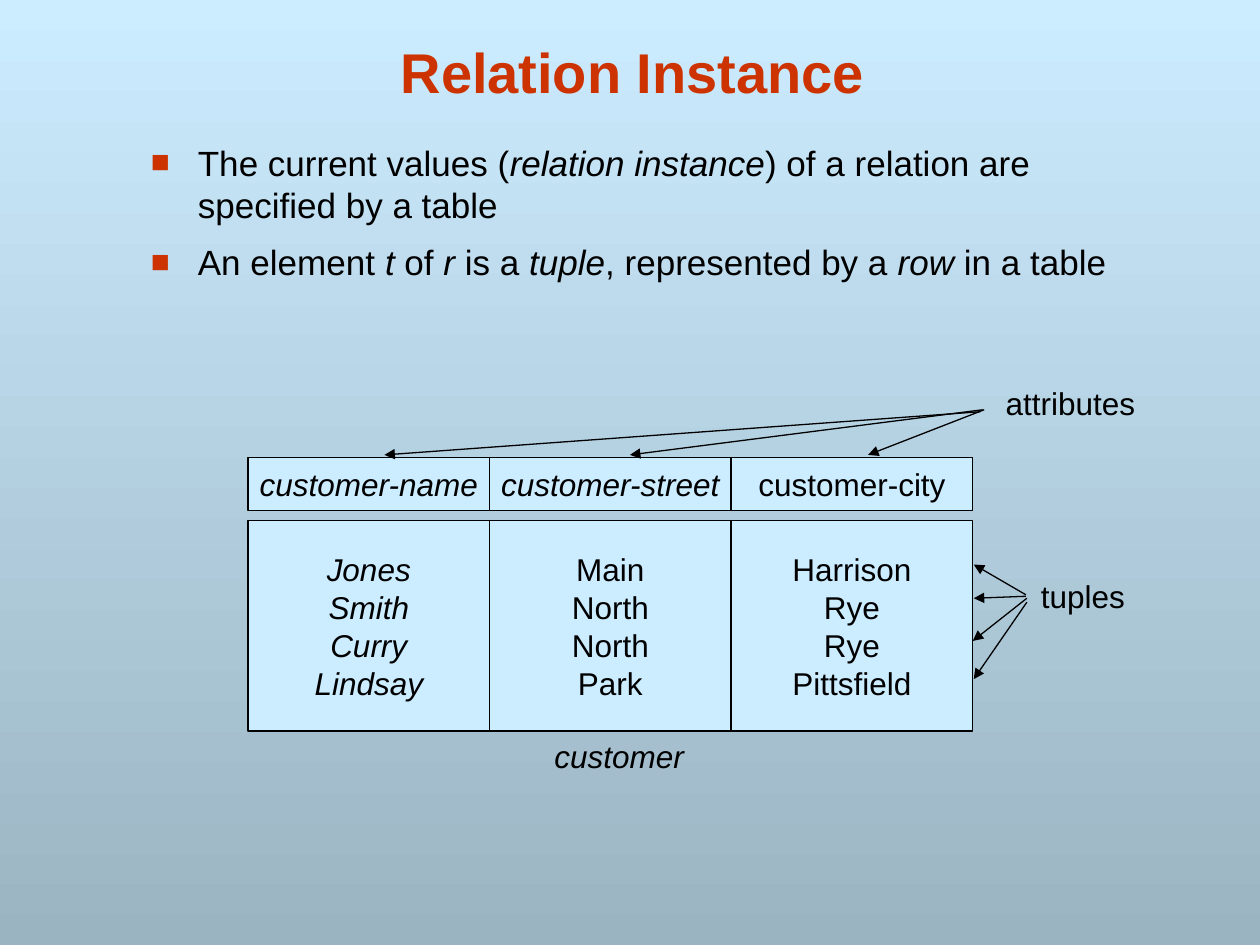
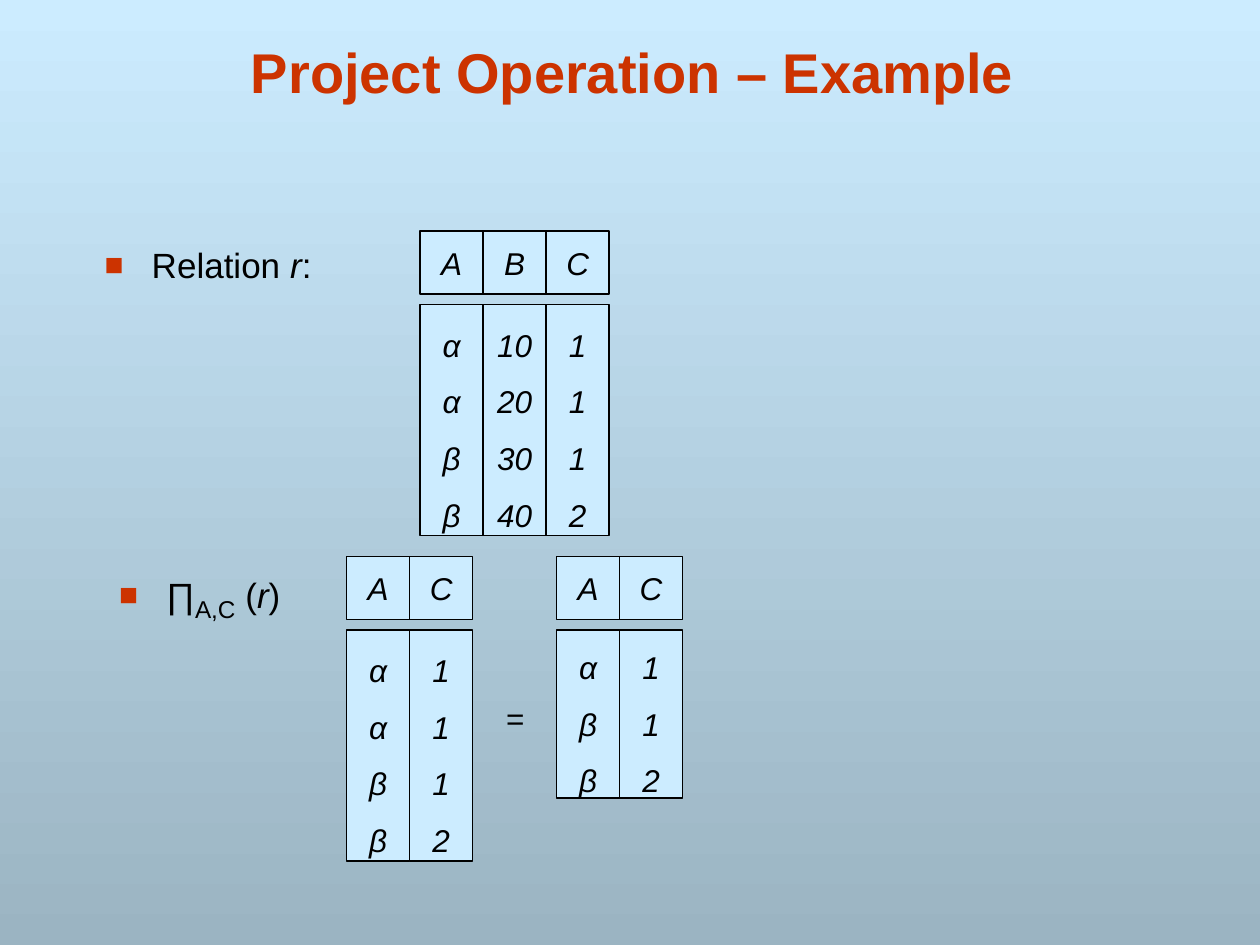
from pptx import Presentation
from pptx import util as u
from pptx.dml.color import RGBColor
from pptx.enum import shapes, text
from pptx.oxml.ns import qn
from lxml import etree

FONT = "Arial"
INK, ACCENT, PALE, SLATE = "000000", "CC3300", "CCECFF", "9BB4C2"
LEADING = 1.2
GAP = 0.21

INSTANCE = {
    "title": "Relation Instance",
    "bullets": [
        (2.79, 2.72, 21.06, 5.46, [
            "The current values (*relation instance*) of a relation are specified by a table",
            "An element *t* of *r* is a *tuple*, represented by a *row *in a table",
        ]),
    ],
    "relations": [
        {"at": (5, 9.23), "column": 4.87, "row": 1.06, "trim": 0, "spacing": 1,
         "columns": [
             ("*customer-name*", ["*Jones*", "*Smith*", "*Curry*", "*Lindsay*"]),
             ("*customer-street*", ["Main", "North", "North", "Park"]),
             ("customer-city", ["Harrison", "Rye", "Rye", "Pittsfield"]),
         ]},
    ],
    "labels": [
        (10.92, 14.73, 3.12, "*customer*"),
        (20.02, 7.62, 3.12, "attributes"),
        (20.53, 11.5, 2.6, "tuples"),
    ],
    "arrows": [
        ((19.76, 8.3), (7.75, 9.17)),
        ((19.81, 8.26), (12.7, 9.17)),
        ((19.84, 8.26), (17.5, 9.17)),
        ((20.68, 11.99), (19.63, 11.38)),
        ((20.68, 12.02), (19.63, 12.06)),
        ((20.7, 12.06), (19.61, 12.92)),
        ((20.7, 12.14), (19.63, 13.69)),
    ],
}

SMALL = {"column": 1.27, "row": 1.27, "trim": 0.42, "spacing": 1.5}
PROJECT = {
    "title": "Project Operation – Example",
    "bullets": [
        (1.86, 4.78, 19.53, 1.14, ["Relation* r*:"]),
        (2.15, 11.43, 19.53, 1.14, ["∏~A,C~ (*r*)"]),
    ],
    "relations": [
        {**SMALL, "at": (8.47, 4.66), "columns": [
            ("*A*", ["*α*", "*α*", "*β*", "*β*"]),
            ("*B*", ["*10*", "*20*", "*30*", "*40*"]),
            ("*C*", ["*1*", "*1*", "*1*", "*2*"]),
        ]},
        {**SMALL, "at": (6.99, 11.22), "columns": [
            ("*A*", ["*α*", "*α*", "*β*", "*β*"]),
            ("*C*", ["*1*", "*1*", "*1*", "*2*"]),
        ]},
        {**SMALL, "at": (11.22, 11.22), "columns": [
            ("*A*", ["*α*", "*β*", "*β*"]),
            ("*C*", ["*1*", "*1*", "*2*"]),
        ]},
    ],
    "labels": [(9.86, 13.97, 1.06, "=")],
    "arrows": [],
}


def color(value):
    return RGBColor.from_string(value)


def write(frame, lines, size, ink=INK, bold=False, spacing=1,
          align=text.PP_ALIGN.CENTER, anchor=text.MSO_ANCHOR.MIDDLE, wrap=False):
    frame.word_wrap = wrap
    frame.vertical_anchor = anchor
    for number, line in enumerate(lines):
        paragraph = frame.add_paragraph() if number else frame.paragraphs[0]
        paragraph.alignment = align
        tallest = size
        for i, slanted in enumerate(line.split("*")):
            for j, words in enumerate(slanted.split("~")):
                if not words:
                    continue
                run = paragraph.add_run()
                run.text = words
                font = run.font
                font.name, font.bold, font.italic = FONT, bold, i % 2 == 1
                font.color.rgb = color(ink)
                font.size = u.Pt(size + 4 * (j % 2))
                if j % 2:
                    font._element.set("baseline", "-25000")
                    tallest = size + 4
        paragraph.line_spacing = u.Pt(round(tallest * LEADING * spacing, 1))


def text_box(slide, x, y, width, height, lines, size, **style):
    frame = slide.shapes.add_textbox(*map(u.Cm, (x, y, width, height))).text_frame
    write(frame, lines, size, **style)
    return frame


def bullet_list(slide, x, y, width, height, lines):
    frame = text_box(slide, x, y, width, height, lines, 20, wrap=True,
                     align=text.PP_ALIGN.LEFT, anchor=text.MSO_ANCHOR.TOP)
    for paragraph in frame.paragraphs:
        paragraph.space_after = u.Pt(8.8)
        props = paragraph._p.get_or_add_pPr()
        props.set("marL", str(u.Cm(0.95)))
        props.set("indent", str(-u.Cm(0.95)))
        tint = etree.SubElement(props, qn("a:buClr"))
        etree.SubElement(tint, qn("a:srgbClr"), val=ACCENT)
        etree.SubElement(props, qn("a:buSzPct"), val="90000")
        etree.SubElement(props, qn("a:buFont"), typeface=FONT)
        etree.SubElement(props, qn("a:buChar"), char="■")


def cell(slide, x, y, width, height, lines, spacing=1):
    box = slide.shapes.add_shape(shapes.MSO_SHAPE.RECTANGLE,
                                 *map(u.Cm, (x, y, width, height)))
    box.shadow.inherit = False
    box.fill.solid()
    box.fill.fore_color.rgb = color(PALE)
    box.line.color.rgb = color(INK)
    box.line.width = u.Pt(0.75)
    write(box.text_frame, lines, 18, spacing=spacing)


def draw_relation(slide, relation):
    left, top = relation["at"]
    width, row = relation["column"], relation["row"]
    for number, (attribute, values) in enumerate(relation["columns"]):
        x = left + number * width
        cell(slide, x, top + row + GAP, width, len(values) * row - relation["trim"],
             values, relation["spacing"])
        cell(slide, x, top, width, row, [attribute])


def draw_arrow(slide, start, end):
    arrow = slide.shapes.add_connector(shapes.MSO_CONNECTOR.STRAIGHT,
                                       *map(u.Cm, start + end))
    arrow.line.color.rgb = color(INK)
    arrow.line.width = u.Pt(0.75)
    etree.SubElement(arrow.line._get_or_add_ln(), qn("a:tailEnd"), type="triangle")
    etree.SubElement(arrow._element.spPr, qn("a:effectLst"))


def paint_background(master):
    fill = master.background.fill
    fill.gradient()
    fill.gradient_angle = 270
    for stop, (position, value) in zip(fill.gradient_stops, [(0, PALE), (1, SLATE)]):
        stop.position = position
        stop.color.rgb = color(value)


def build_slide(deck, content):
    slide = deck.slides.add_slide(deck.slide_layouts[6])
    text_box(slide, 1.54, 0.54, 22.43, 1.7, [content["title"]], 32, ink=ACCENT,
             bold=True, anchor=text.MSO_ANCHOR.BOTTOM, wrap=True)
    for bullets in content["bullets"]:
        bullet_list(slide, *bullets)
    for relation in content["relations"]:
        draw_relation(slide, relation)
    for x, y, width, label in content["labels"]:
        text_box(slide, x, y, width, 1.02, [label], 18)
    for start, end in content["arrows"]:
        draw_arrow(slide, start, end)


def main():
    deck = Presentation()
    deck.slide_width, deck.slide_height = u.Cm(25.4), u.Cm(19.05)
    paint_background(deck.slide_master)
    for content in (INSTANCE, PROJECT):
        build_slide(deck, content)
    deck.save("out.pptx")


if __name__ == "__main__":
    main()
